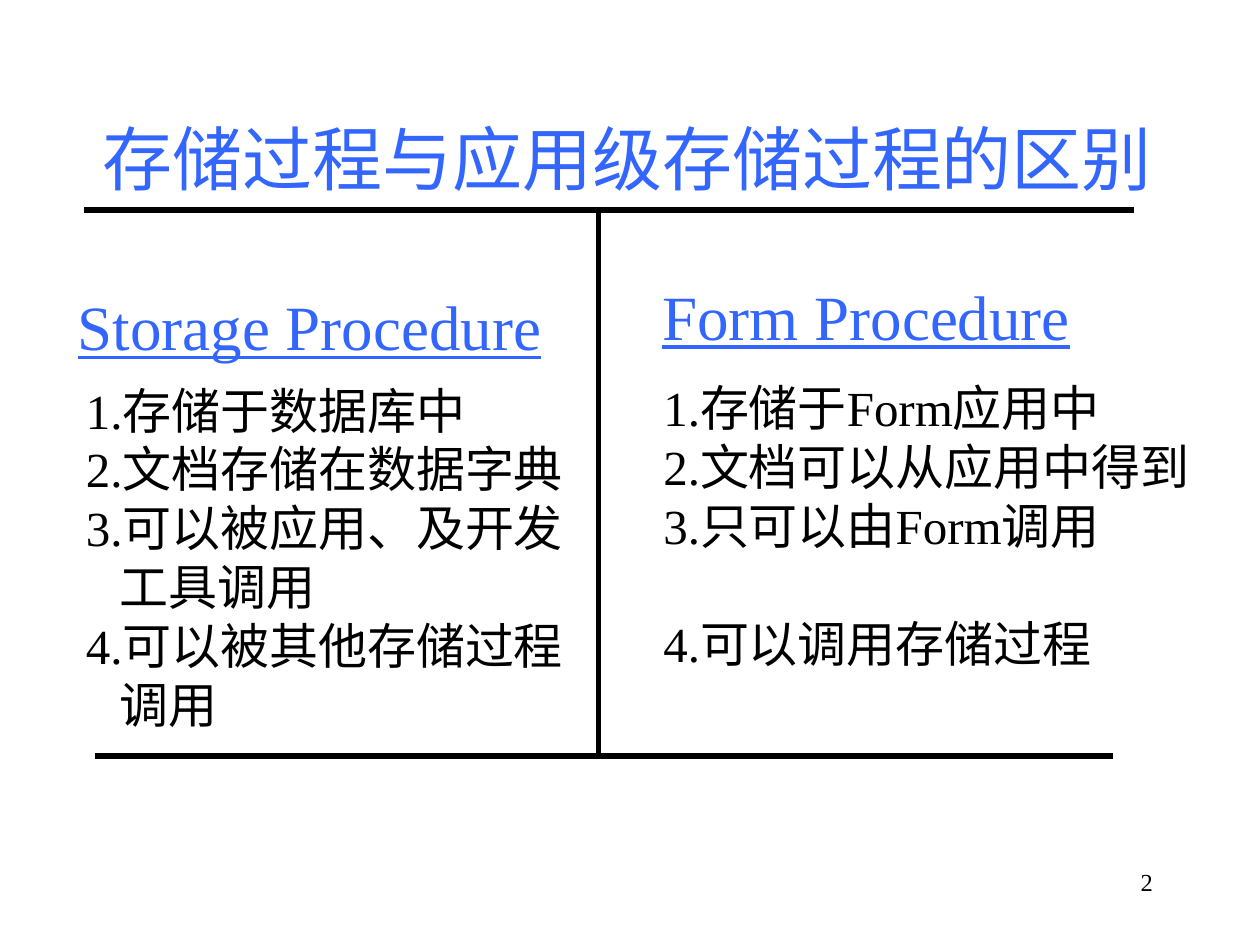
from lxml import etree
from pptx import Presentation
from pptx import util as u
from pptx.dml.color import RGBColor
from pptx.enum import shapes, text
from pptx.oxml.ns import qn

COLORS = {"ink": "000000", "accent": "3366FF", "paper": "FFFFFF"}
FONT = "Times New Roman"
COLUMNS, ROWS = 120, 90  # square cells, twelve to the inch


class Deck:
    """Holds the style and the current slide; lengths are grid cells."""

    def __init__(self):
        self.prs = Presentation()
        self.prs.slide_width, self.prs.slide_height = u.Inches(10), u.Inches(7.5)
        self.slide = self.prs.slides.add_slide(self.prs.slide_layouts[5])
        fill = self.slide.background.fill
        fill.solid()
        fill.fore_color.rgb = RGBColor.from_string(COLORS["paper"])

    def place(self, left, top, width, height):
        cell_w = self.prs.slide_width / COLUMNS
        cell_h = self.prs.slide_height / ROWS
        return (round(left * cell_w), round(top * cell_h),
                round(width * cell_w), round(height * cell_h))

    def set_text(self, shape, content, size, color="ink", align="LEFT",
                 underline=None, wrap=True):
        frame = shape.text_frame
        frame.text = content
        frame.word_wrap = wrap
        frame.auto_size = text.MSO_AUTO_SIZE.NONE
        frame.vertical_anchor = text.MSO_ANCHOR.MIDDLE
        for paragraph in frame.paragraphs:
            paragraph.alignment = getattr(text.PP_ALIGN, align)
            for run in paragraph.runs:
                font = run.font
                font.name, font.size, font.underline = FONT, u.Pt(size), underline
                font.color.rgb = RGBColor.from_string(COLORS[color])
        return frame.paragraphs

    def indent(self, paragraph, margin, first=0):
        props = paragraph._p.get_or_add_pPr()
        props.set("marL", str(u.Inches(margin)))
        props.set("indent", str(u.Inches(first)))

    def title(self, box, content):
        heading = self.slide.shapes.title
        heading.left, heading.top, heading.width, heading.height = self.place(*box)
        paragraph, = self.set_text(heading, content, 40, "accent")
        self.indent(paragraph, 0.3)

    def label(self, box, content, size, **style):
        shape = self.slide.shapes.add_textbox(*self.place(*box))
        return self.set_text(shape, content, size, **style)

    def numbered(self, box, items, gap_before=None):
        """Hanging list; gap_before is the index that follows a free line."""
        paragraphs = self.label(box, "\n".join(items), 28, wrap=False)
        for index, paragraph in enumerate(paragraphs):
            self.indent(paragraph, 0.27, -0.27)
            if index == gap_before:
                paragraph.space_before = u.Pt(34)

    def rule(self, x1, y1, x2, y2):
        line = self.slide.shapes.add_connector(
            shapes.MSO_CONNECTOR.STRAIGHT, *self.place(x1, y1, x2, y2))
        line.line.width = u.Pt(3)
        line.line.color.rgb = RGBColor.from_string(COLORS["ink"])
        etree.SubElement(line._element.spPr, qn("a:effectLst"))


def main():
    deck = Deck()
    deck.title((5, 10, 108, 10), "存储过程与应用级存储过程的区别")

    # Frame of the comparison
    top, bottom, middle = 20, 72, 57
    deck.rule(8, top, 108, top)
    deck.rule(middle, top, middle, bottom)
    deck.rule(9, bottom, 106, bottom)

    # Column headings
    for left, row, name in ((8, 27, "Storage Procedure"), (61, 26, "Form Procedure")):
        deck.label((left, row, 43, 8), name, 36, color="accent",
                   align="CENTER", underline=True, wrap=False)

    # Column contents; \v breaks a line within an item
    deck.numbered((7, 31, 49, 44), [
        "1.存储于数据库中",
        "2.文档存储在数据字典",
        "3.可以被应用、及开发\v工具调用",
        "4.可以被其他存储过程\v调用",
    ])
    deck.numbered((62, 28, 53, 44), [
        "1.存储于Form应用中",
        "2.文档可以从应用中得到",
        "3.只可以由Form调用",
        "4.可以调用存储过程",
    ], gap_before=3)

    # Page number
    deck.label((86, 81, 25, 6), "2", 14, align="RIGHT")
    deck.prs.save("out.pptx")


if __name__ == "__main__":
    main()
